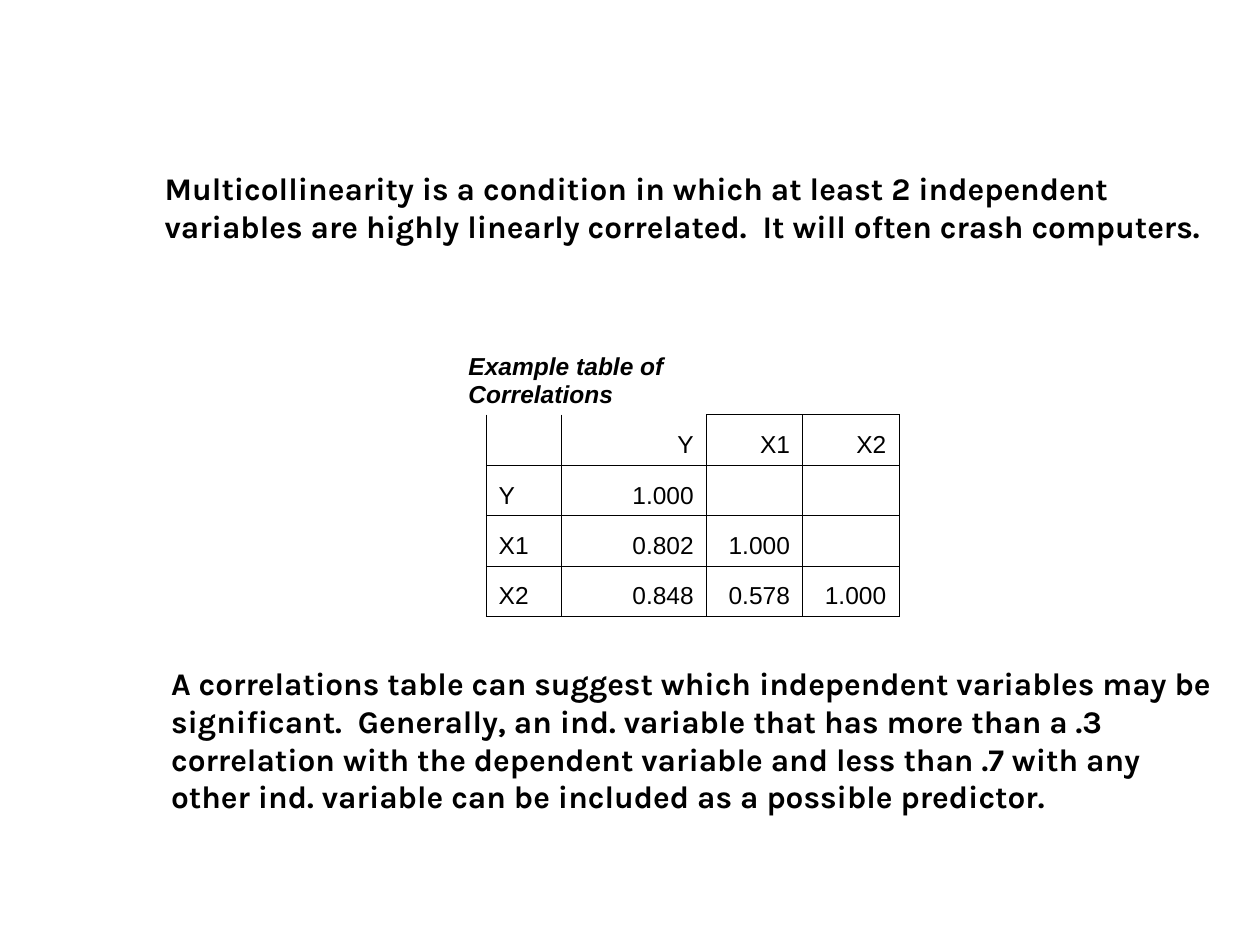
from dataclasses import dataclass

from lxml import etree
from pptx import Presentation
from pptx.dml.color import RGBColor
from pptx.enum.text import MSO_ANCHOR, MSO_AUTO_SIZE, PP_ALIGN
from pptx.oxml.ns import qn
from pptx.util import Cm, Pt

BLACK = RGBColor(0x00, 0x00, 0x00)
LEFT = PP_ALIGN.LEFT
RIGHT = PP_ALIGN.RIGHT
BOTTOM = MSO_ANCHOR.BOTTOM
GROW = MSO_AUTO_SIZE.SHAPE_TO_FIT_TEXT
BLANK_LAYOUT = 6
BORDER_WIDTH = Pt(0.45)
SIDES = "LRTB"
COLUMN_WIDTHS = (0.61, 1.52, 2.92, 1.94, 1.94)
ROW_HEIGHTS = (1.45, 0.86, 0.86, 0.86, 0.86)
CAPTION = "Example table of Correlations"
CAPTION_SPAN = 3
CORRELATIONS = (
    ("", "Y", "X1", "X2"),
    ("Y", "1.000", "", ""),
    ("X1", "0.802", "1.000", ""),
    ("X2", "0.848", "0.578", "1.000"),
)


@dataclass
class Statement:
    text: str
    left: float
    top: float
    width: float
    height: float
    space_before: float = 0


STATEMENTS = (
    Statement(
        "Multicollinearity is a condition in which at least 2 independent variables "
        "are highly linearly correlated.  It will often crash computers.",
        3.07, 3.28, 21.95, 2.54, space_before=11.2,
    ),
    Statement(
        "A correlations table can suggest which independent variables may be significant.  "
        "Generally, an ind. variable that has more than a .3 correlation with the dependent "
        "variable and less than .7 with any other ind. variable can be included as a "
        "possible predictor.",
        3.2, 13.26, 21.62, 3.3,
    ),
)


def write_text(frame, text: str, *, font: str, size: float, bold: bool = False,
               italic: bool = False, align=LEFT, space_before: float = 0) -> None:
    para = frame.paragraphs[0]
    para.alignment = align
    para.space_before = Pt(space_before)
    span = para.add_run()
    span.text = text
    span.font.name = font
    span.font.size = Pt(size)
    span.font.bold = bold
    span.font.italic = italic
    span.font.color.rgb = BLACK


def add_statement(page, statement: Statement) -> None:
    box = page.shapes.add_textbox(Cm(statement.left), Cm(statement.top),
                                  Cm(statement.width), Cm(statement.height))
    frame = box.text_frame
    frame.word_wrap = True
    frame.auto_size = GROW
    write_text(frame, statement.text, font="Karla", size=18, bold=True,
               space_before=statement.space_before)


def ruled_sides(row: int, column: int) -> str:
    if row == 0:
        return "B" if column >= CAPTION_SPAN else ""
    if column == 0:
        return "R"
    if row == 1 and column < CAPTION_SPAN:
        return "LRB"
    return SIDES


def set_borders(cell, ruled: str) -> None:
    properties = cell._tc.get_or_add_tcPr()
    for side in SIDES:
        line = etree.SubElement(properties, qn(f"a:ln{side}"), w=str(BORDER_WIDTH))
        if side in ruled:
            fill = etree.SubElement(line, qn("a:solidFill"))
            etree.SubElement(fill, qn("a:srgbClr"), val=str(BLACK))
        else:
            etree.SubElement(line, qn("a:noFill"))


def add_correlation_table(page) -> None:
    table = page.shapes.add_table(
        len(ROW_HEIGHTS), len(COLUMN_WIDTHS), Cm(9.19), Cm(6.91),
        Cm(sum(COLUMN_WIDTHS)), Cm(sum(ROW_HEIGHTS)),
    ).table
    table.first_row = False
    table.horz_banding = False
    for column, width in zip(table.columns, COLUMN_WIDTHS):
        column.width = Cm(width)
    for row, height in zip(table.rows, ROW_HEIGHTS):
        row.height = Cm(height)

    for row in range(len(ROW_HEIGHTS)):
        for column in range(len(COLUMN_WIDTHS)):
            cell = table.cell(row, column)
            set_borders(cell, ruled_sides(row, column))
            cell.fill.background()
            cell.vertical_anchor = BOTTOM

    caption = table.cell(0, 0)
    caption.merge(table.cell(0, CAPTION_SPAN - 1))
    write_text(caption.text_frame, CAPTION, font="Arial", size=14, bold=True, italic=True)
    for row, values in enumerate(CORRELATIONS, start=1):
        for column, value in enumerate(values, start=1):
            if value:
                write_text(table.cell(row, column).text_frame, value, font="Arial",
                           size=14, align=LEFT if column == 1 else RIGHT)


def main() -> None:
    deck = Presentation()
    deck.slide_width = Cm(25.4)
    deck.slide_height = Cm(19.05)
    page = deck.slides.add_slide(deck.slide_layouts[BLANK_LAYOUT])
    definition, guidance = STATEMENTS
    add_statement(page, definition)
    add_correlation_table(page)
    add_statement(page, guidance)
    deck.save("out.pptx")


if __name__ == "__main__":
    main()
